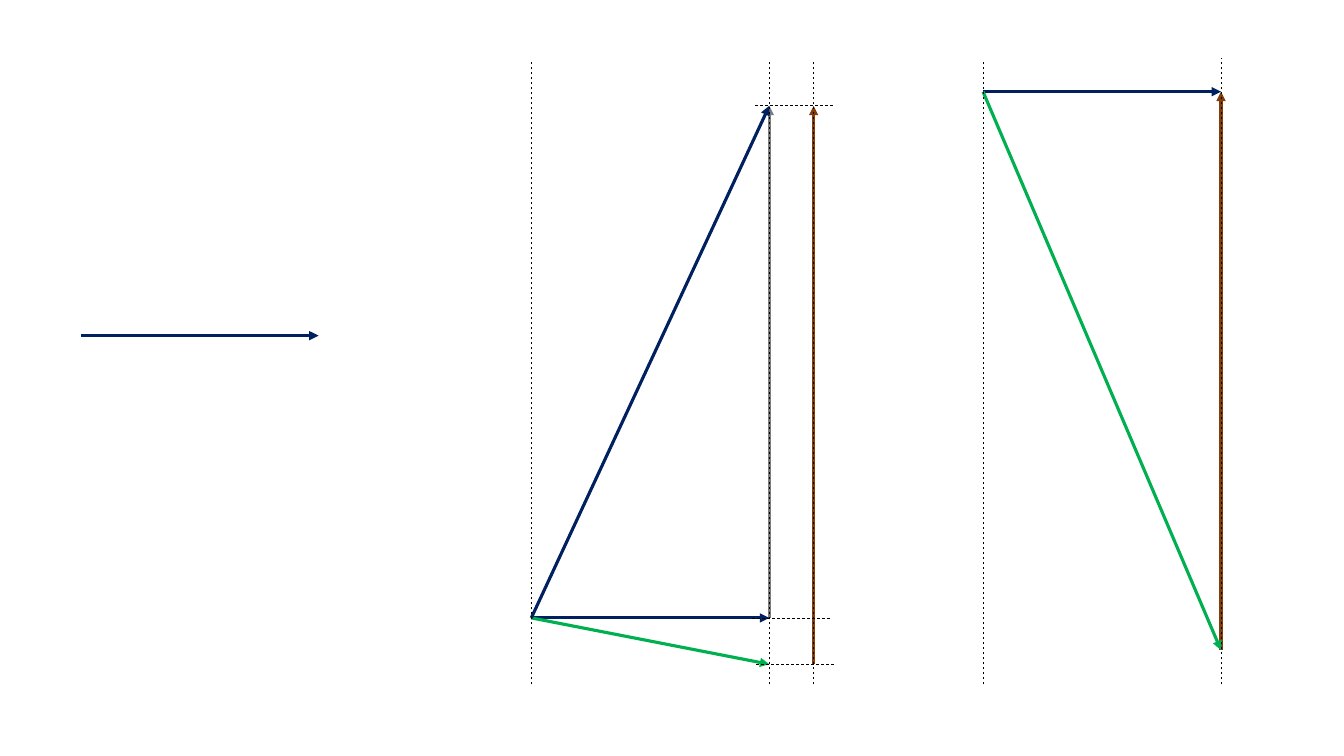
"""Build a slide of three vector diagrams with dashed guide lines."""
from lxml import etree
from pptx import Presentation
from pptx.dml.color import RGBColor
from pptx.enum.dml import MSO_LINE
from pptx.enum.shapes import MSO_CONNECTOR
from pptx.oxml.ns import qn
from pptx.util import Inches, Pt

STRAIGHT = MSO_CONNECTOR.STRAIGHT
DASH = MSO_LINE.DASH
COLORS = {"navy": "002060", "green": "00B050", "brown": "843C0B",
          "gray": "7C7C7C", "black": "000000"}

VECTOR_WIDTH = 2.36
SINGLE_START = (0.8, 3.33)
SUM_LEFT, SUM_TOP, SUM_BASE, SUM_LOW = 5.27, 1.05, 6.13, 6.59
SUM_RIGHT = SUM_LEFT + VECTOR_WIDTH
OFFSET_X = 8.07
DIFF_LEFT, DIFF_TOP, DIFF_LOW = 9.75, 0.91, 6.45
DIFF_RIGHT = DIFF_LEFT + VECTOR_WIDTH
GUIDE_TOP, GUIDE_BOTTOM = 0.62, 6.79
GUIDE_LENGTH = 0.77

HORIZONTAL_STARTS = [SINGLE_START, (SUM_LEFT, SUM_BASE), (DIFF_LEFT, DIFF_TOP)]
RISING_VECTORS = [
    ("gray", SUM_RIGHT, SUM_BASE, SUM_TOP),
    ("brown", OFFSET_X, SUM_LOW, SUM_TOP),
    ("brown", DIFF_RIGHT, DIFF_LOW, DIFF_TOP),
]
SLOPED_VECTORS = [
    ("green", (SUM_LEFT, SUM_BASE), (SUM_RIGHT, SUM_LOW)),
    ("navy", (SUM_LEFT, SUM_BASE), (SUM_RIGHT, SUM_TOP)),
    ("green", (DIFF_LEFT, DIFF_TOP), (DIFF_RIGHT, DIFF_LOW)),
]
VERTICAL_GUIDES = [
    (SUM_LEFT, GUIDE_TOP), (SUM_RIGHT, GUIDE_TOP), (OFFSET_X, GUIDE_TOP),
    (DIFF_LEFT, GUIDE_TOP), (DIFF_RIGHT, 0.58),
]
HORIZONTAL_GUIDES = [(7.49, SUM_TOP), (7.46, SUM_BASE), (7.5, SUM_LOW)]


def add_line(slide, start, end, color, width):
    """Draw a straight, shadowless line between two points."""
    connector = slide.shapes.add_connector(
        STRAIGHT, *(Inches(value) for value in (*start, *end)))
    connector.line.color.rgb = RGBColor.from_string(COLORS[color])
    connector.line.width = Pt(width)
    etree.SubElement(connector._element.spPr, qn("a:effectLst"))
    return connector


def add_vector(slide, start, end, color):
    """Draw a solid line with an arrowhead at its end."""
    vector = add_line(slide, start, end, color, 2.25)
    etree.SubElement(vector.line._get_or_add_ln(), qn("a:tailEnd"),
                     type="triangle")


def add_guide(slide, start, end):
    """Draw a thin dashed line."""
    add_line(slide, start, end, "black", 0.5).line.dash_style = DASH


def main():
    """Assemble and save the slide."""
    deck = Presentation()
    deck.slide_width, deck.slide_height = Inches(13.33), Inches(7.5)
    slide = deck.slides.add_slide(deck.slide_layouts[6])

    for color, x, bottom, top in RISING_VECTORS:
        add_vector(slide, (x, bottom), (x, top), color)
    for x, y in HORIZONTAL_STARTS:
        add_vector(slide, (x, y), (x + VECTOR_WIDTH, y), "navy")
    for color, start, end in SLOPED_VECTORS:
        add_vector(slide, start, end, color)
    for x, top in VERTICAL_GUIDES:
        add_guide(slide, (x, GUIDE_BOTTOM), (x, top))
    for x, y in HORIZONTAL_GUIDES:
        add_guide(slide, (x, y), (x + GUIDE_LENGTH, y))

    deck.save("out.pptx")


if __name__ == "__main__":
    main()
